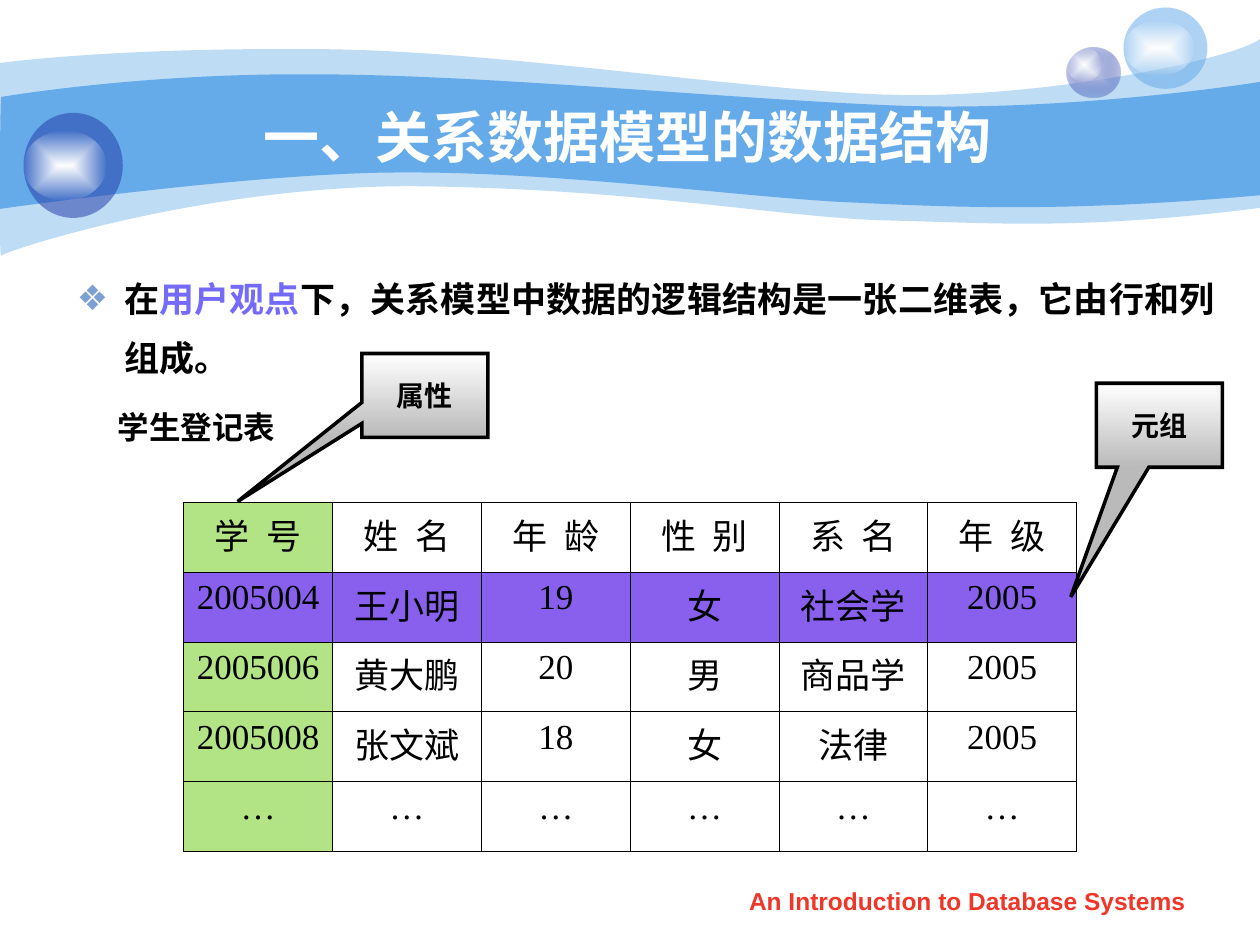
from typing import NamedTuple

from lxml import etree
from pptx import Presentation
from pptx.dml.color import RGBColor
from pptx.enum import shapes as es, text as et
from pptx.oxml import parse_xml
from pptx.oxml.ns import nsdecls, qn
from pptx.util import Pt

BLUE, NAVY, GREEN, PURPLE = "65AAE9", "233DA9", "B2E385", "8960EE"
SERIF, SANS = "Times New Roman", "Arial"


class Box(NamedTuple):
    left: float
    top: float
    width: float
    height: float


class Stop(NamedTuple):
    color: str
    opacity: int = 100


class Wave(NamedTuple):
    start: tuple
    segments: list  # one point for a line, three for a curve
    opacity: int


class Ball(NamedTuple):
    box: Box
    stops: list
    glow: Box


class Callout(NamedTuple):
    text: str
    box: Box
    tip: tuple


WAVES = [
    Wave((0, 36), [
        ((17.3, 33.8), (77, 27.4), (177.8, 28.1)), ((277.9, 28.1), (414, 50.4), (503.3, 54)),
        ((591.8, 57.6), (705.6, 33.8), (720, 22.3)), ((720, 118.8),),
        ((617.8, 131.8), (566.6, 127.4), (507.6, 126)),
        ((447.8, 124.6), (370.8, 108.7), (247, 106.6)),
        ((123.8, 103.7), (2.9, 143.3), (0.7, 146.2)), ((-0.7, 149.8), (0, 54), (0, 36))], 41),
    Wave((0.7, 55.4), [
        ((1.4, 55.4), (79.2, 41.8), (178.6, 42.5)), ((277.9, 42.5), (428.4, 57.6), (517, 60.5)),
        ((605.5, 63.4), (702.7, 49.7), (720, 46.8)), ((720, 111.6),),
        ((614.2, 121), (550.8, 118.8), (491, 115.9)),
        ((431.3, 113.8), (321.8, 97.9), (228.2, 98.6)),
        ((146.2, 98.6), (-1.4, 119.5), (-0.7, 119.5)), ((0, 119.5), (0, 55.4), (0.7, 55.4))], 100),
]
BALLS = [
    Ball(Box(609.5, 27, 30.5, 29), [Stop("C6CCE8"), Stop(NAVY, 31)], Box(609.5, 27, 20, 19.5)),
    Ball(Box(642, 4.3, 48, 46.5), [Stop(BLUE, 53)], Box(642, 12, 40.3, 31)),
    Ball(Box(13.5, 64.5, 56.7, 60), [Stop(NAVY, 53)], Box(13.5, 74.5, 47.5, 40)),
]
CALLOUTS = [
    Callout("属性", Box(206.8, 202, 72, 48), (-1.486, 1.263)),
    Callout("元组", Box(626.5, 219, 72, 48), (-0.703, 2.044)),
]
ROWS = [
    ["学 号", "姓 名", "年 龄", "性 别", "系 名", "年 级"],
    ["2005004", "王小明", "19", "女", "社会学", "2005"],
    ["2005006", "黄大鹏", "20", "男", "商品学", "2005"],
    ["2005008", "张文斌", "18", "女", "法律", "2005"],
    ["…"] * 6,
]
CENTRE = '<a:path path="rect"><a:fillToRect l="50000" t="50000" r="50000" b="50000"/></a:path>'
DOWN = '<a:lin ang="5400000" scaled="1"/>'


def rgb(color: str) -> RGBColor:
    return RGBColor.from_string(color)


def points(values) -> list:
    return [Pt(v) for v in values]


def place(sp, box: Box) -> None:
    sp.left, sp.top, sp.width, sp.height = points(box)


def style(p, size: float, color: str, name: str, bold: bool = False,
          align=et.PP_ALIGN.CENTER) -> None:
    p.alignment = align
    f = p.font
    f.size, f.name, f.bold = Pt(size), name, bold
    f.color.rgb = rgb(color)


def paint(sp, stops: list, direction: str = "") -> None:
    """Fill with one colour or a gradient, either of them translucent."""
    colors = [f'<a:srgbClr val="{s.color}"><a:alpha val="{s.opacity * 1000}"/></a:srgbClr>'
              for s in stops]
    if len(stops) == 1:
        xml = f'<a:solidFill {nsdecls("a")}>{colors[0]}</a:solidFill>'
    else:
        xml = (f'<a:gradFill {nsdecls("a")} rotWithShape="1"><a:gsLst><a:gs pos="0">{colors[0]}'
               f'</a:gs><a:gs pos="100000">{colors[1]}</a:gs></a:gsLst>{direction}</a:gradFill>')
    sp.shadow.inherit = False
    sp.line.fill.background()
    sp._element.spPr.find(qn("a:ln")).addprevious(parse_xml(xml))


def draw_wave(slide, wave: Wave) -> None:
    fb = slide.shapes.build_freeform(*points(wave.start))
    fb.add_line_segments([points(pt) for seg in wave.segments for pt in seg], close=True)
    sp = fb.convert_to_shape()
    # Join each three points of a curve into one Bezier segment
    lines = iter(list(sp._element.iter(qn("a:lnTo"))))
    for seg in wave.segments:
        parts = [next(lines) for _ in seg]
        if len(parts) == 3:
            bezier = etree.Element(qn("a:cubicBezTo"))
            parts[0].addprevious(bezier)
            for part in parts:
                bezier.append(part[0])
                part.getparent().remove(part)
    paint(sp, [Stop(BLUE, wave.opacity)])


def draw_ball(slide, ball: Ball) -> None:
    group = slide.shapes.add_group_shape()
    for box, stops in ((ball.box, ball.stops), (ball.glow, [Stop("FFFFFF"), Stop("FEFEFE", 0)])):
        paint(group.shapes.add_shape(es.MSO_SHAPE.OVAL, *points(box)), stops, CENTRE)


def draw_callout(slide, callout: Callout) -> None:
    sp = slide.shapes.add_shape(es.MSO_SHAPE.RECTANGULAR_CALLOUT, *points(callout.box))
    sp.adjustments[0], sp.adjustments[1] = callout.tip
    paint(sp, [Stop("FFFFFF"), Stop("BABABA")], DOWN)
    sp.line.color.rgb, sp.line.width = rgb("000000"), Pt(2)
    etree.SubElement(sp._element.spPr.find(qn("a:ln")), qn("a:miter"), lim="800000")
    sp.text_frame.text = callout.text
    style(sp.text_frame.paragraphs[0], 16, "000000", SERIF, True)


def draw_label(slide, text: str, box: Box, size: float, color: str, name: str,
               wrap: bool = True) -> None:
    tf = slide.shapes.add_textbox(*points(box)).text_frame
    tf.word_wrap, tf.text = wrap, text
    style(tf.paragraphs[0], size, color, name, True)


def draw_cell(cell, text: str, fill: str, spacing: float) -> None:
    tc_pr = cell._tc.get_or_add_tcPr()
    for side in "LRTB":
        ln = etree.SubElement(tc_pr, qn(f"a:ln{side}"), w=str(Pt(0.45)))
        etree.SubElement(etree.SubElement(ln, qn("a:solidFill")), qn("a:srgbClr"), val="000000")
    if fill:
        cell.fill.solid()
        cell.fill.fore_color.rgb = rgb(fill)
    else:
        cell.fill.background()
    cell.text = text
    p = cell.text_frame.paragraphs[0]
    style(p, 20, "000000", SERIF)
    if spacing:
        p.runs[0]._r.get_or_add_rPr().set("spc", str(int(spacing * 100)))


def main() -> None:
    prs = Presentation()
    prs.slide_width, prs.slide_height = Pt(720), Pt(540)
    slide = prs.slides.add_slide(prs.slide_layouts[1])
    title, body = slide.placeholders

    # Banner, with the placeholders brought in front of it
    for wave in WAVES:
        draw_wave(slide, wave)
    for ball in BALLS:
        draw_ball(slide, ball)
    for sp in (title, body):
        slide.shapes._spTree.append(sp._element)

    # Title, with a larger closing space that sets the line height
    place(title, Box(72, 54, 581.8, 44.6))
    tf = title.text_frame
    tf.text = "一、关系数据模型的数据结构"
    tf.auto_size, tf.vertical_anchor = et.MSO_AUTO_SIZE.NONE, et.MSO_ANCHOR.MIDDLE
    p = tf.paragraphs[0]
    style(p, 32, "FFFFFF", SANS, True)
    r = p.add_run()
    r.text, r.font.size = " ", Pt(36)

    # Bulleted statement
    place(body, Box(36.7, 145.5, 664.6, 79))
    body.text_frame.auto_size = et.MSO_AUTO_SIZE.NONE
    p = body.text_frame.paragraphs[0]
    p_pr = p._p.get_or_add_pPr()
    p_pr.set("marL", str(Pt(27)))
    p_pr.set("indent", str(Pt(-27)))
    etree.SubElement(etree.SubElement(p_pr, qn("a:buClr")), qn("a:srgbClr"), val="7DA0D3")
    etree.SubElement(p_pr, qn("a:buChar"), char="❖")
    p.line_spacing, p.space_before = 1.4, Pt(0)
    style(p, 20, "000000", SANS, True, et.PP_ALIGN.JUSTIFY)
    for text, color in (("在", "000000"), ("用户观点", "746AFC"),
                        ("下，关系模型中数据的逻辑结构是一张二维表，它由行和列组成。", "000000")):
        r = p.add_run()
        r.text, r.font.color.rgb = text, rgb(color)

    # Student table: key column green, one record purple, header letters spaced
    table = slide.shapes.add_table(len(ROWS), len(ROWS[0]),
                                   *points(Box(105, 287, 510.3, 199.5))).table
    table.first_row = table.horz_banding = False
    for i, row in enumerate(ROWS):
        for j, text in enumerate(row):
            fill = PURPLE if i == 1 else GREEN if j == 0 else ""
            draw_cell(table.cell(i, j), text, fill, 2.5 if i == 0 else 0)

    # Labels and callouts
    draw_label(slide, "学生登记表", Box(33, 229.7, 158.4, 29), 18, "000000", SERIF, False)
    for callout in CALLOUTS:
        draw_callout(slide, callout)
    draw_label(slide, "An Introduction to Database Systems", Box(411, 502.5, 283.7, 25),
               14, "F03628", SANS)
    prs.save("out.pptx")


if __name__ == "__main__":
    main()
